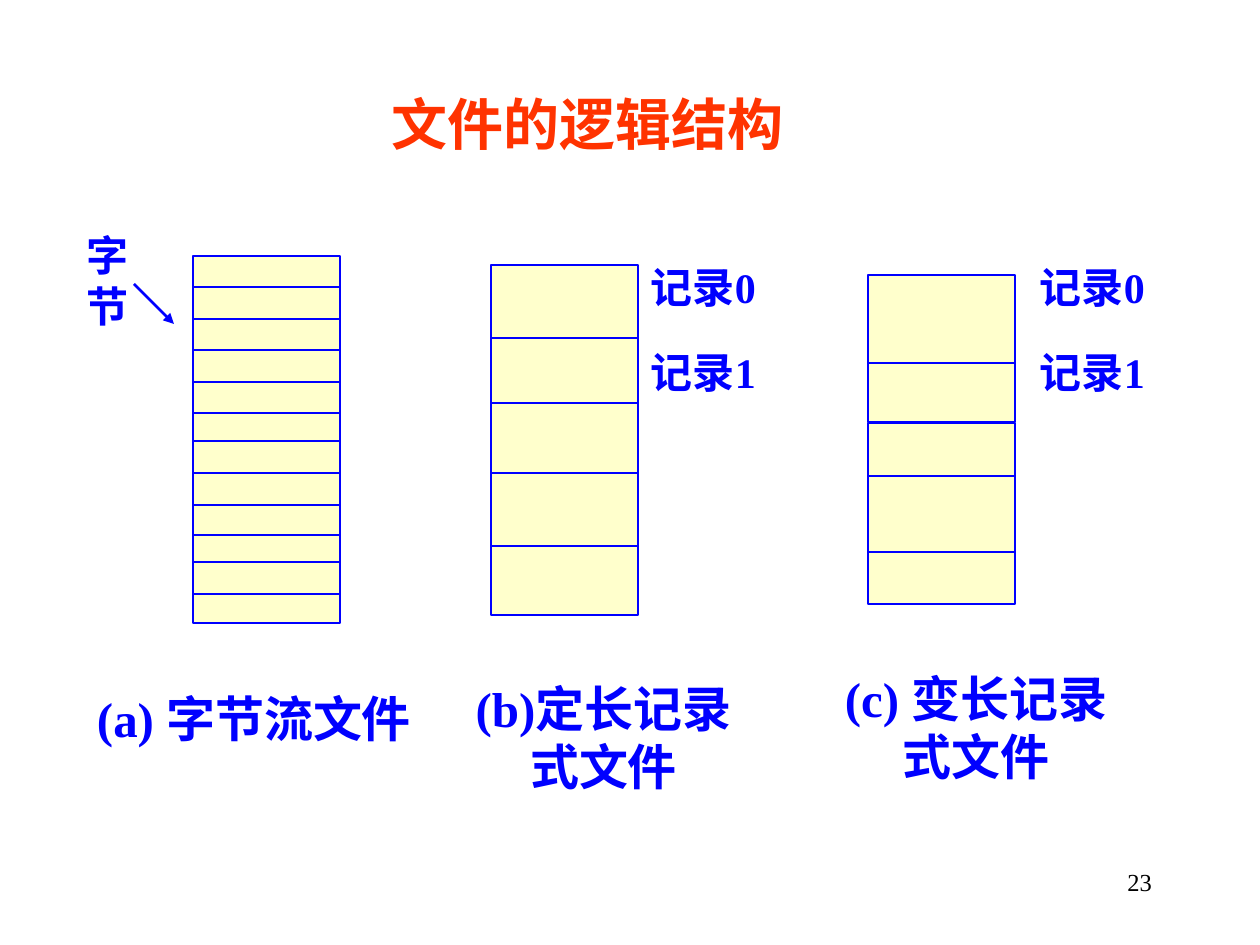
import pptx
import pptx.util
import pptx.dml.color
import pptx.enum.shapes
import pptx.enum.text
import pptx.oxml.ns
import lxml.etree

PX = 914400 / 126
BLUE = "0000FF"
ALIGN = pptx.enum.text.PP_ALIGN
FIT = pptx.enum.text.MSO_AUTO_SIZE
KIND = pptx.enum.shapes

BYTES = [256, 287, 319, 350, 382, 413, 532, 591, 503, 562, 441, 473]
FIXED = [334, 403, 542, 473, 265]
VARIED = [(275, 94), (363, 59), (473, 84), (552, 52), (423, 53)]


def px(*nums):
    return [pptx.util.Emu(round(num * PX)) for num in nums]


def hue(code):
    return pptx.dml.color.RGBColor.from_string(code)


def apply(item, vals):
    for key, val in vals.items():
        setattr(item, key, val)


def write(shape, text, size, color=BLUE, bold=True, align=ALIGN.LEFT,
          before=0, inset=True, fit=FIT.SHAPE_TO_FIT_TEXT):
    side, edge = px(13, 6) if inset else px(0, 0)
    frame = shape.text_frame
    frame.text = text
    apply(frame, {
        "word_wrap": True, "auto_size": fit,
        "vertical_anchor": pptx.enum.text.MSO_ANCHOR.TOP,
        "margin_left": side, "margin_right": side,
        "margin_top": edge, "margin_bottom": edge,
    })
    para = frame.paragraphs[0]
    apply(para, {"alignment": align, "space_before": pptx.util.Pt(before)})
    font = para.runs[0].font
    apply(font, {"name": "Times New Roman", "bold": bold,
                 "size": pptx.util.Pt(size)})
    font.color.rgb = hue(color)


def label(slide, box, text, size, **opts):
    write(slide.shapes.add_textbox(*px(*box)), text, size, **opts)


def title(slide, box, text):
    shape = slide.shapes.title
    apply(shape, dict(zip(("left", "top", "width", "height"), px(*box))))
    write(shape, text, 32, color="FF3300", align=ALIGN.CENTER, before=20)


def stack(slide, left, cells):
    for top, high in cells:
        cell = slide.shapes.add_shape(KIND.MSO_SHAPE.RECTANGLE,
                                      *px(left, top, 147, high))
        cell.shadow.inherit = False
        cell.fill.solid()
        cell.fill.fore_color.rgb = hue("FFFFCC")
        cell.line.color.rgb = hue(BLUE)
        cell.line.width = pptx.util.Pt(0.75)


def arrow(slide, ends):
    line = slide.shapes.add_connector(KIND.MSO_CONNECTOR.STRAIGHT, *px(*ends))
    line.line.color.rgb = hue(BLUE)
    line.line.width = pptx.util.Pt(1.5)
    qn = pptx.oxml.ns.qn
    props = line._element.spPr
    lxml.etree.SubElement(props.find(qn("a:ln")), qn("a:tailEnd"),
                          type="triangle")
    lxml.etree.SubElement(props, qn("a:effectLst"))


def main():
    deck = pptx.Presentation()
    deck.slide_width, deck.slide_height = px(1260, 945)
    slide = deck.slides.add_slide(deck.slide_layouts[5])

    title(slide, (273, 84, 630, 81), "文件的逻辑结构")

    stack(slide, 193, [(top, 32) for top in BYTES])
    stack(slide, 491, [(top, 73) for top in FIXED])
    stack(slide, 868, VARIED)

    label(slide, (74, 224, 63, 113), "字节", 24, before=15)
    arrow(slide, (134, 284, 174, 324))
    for left in (651, 1040):
        for num, (top, wide) in enumerate([(262, 126), (347, 116)]):
            label(slide, (left, top, wide, 50), f"记录{num}", 24,
                  before=15, inset=False)

    for box, text, align in [
        ((84, 683, 347, 131), "(a) 字节流文件", ALIGN.LEFT),
        ((441, 672, 325, 131), "(b)定长记录式文件", ALIGN.CENTER),
        ((829, 662, 294, 131), "(c) 变长记录式文件", ALIGN.CENTER),
    ]:
        label(slide, box, text, 28, align=align, before=17.5)

    label(slide, (903, 861, 262, 63), "23", 14, color="000000", bold=False,
          align=ALIGN.RIGHT, fit=FIT.NONE)
    deck.save("out.pptx")


if __name__ == "__main__":
    main()
